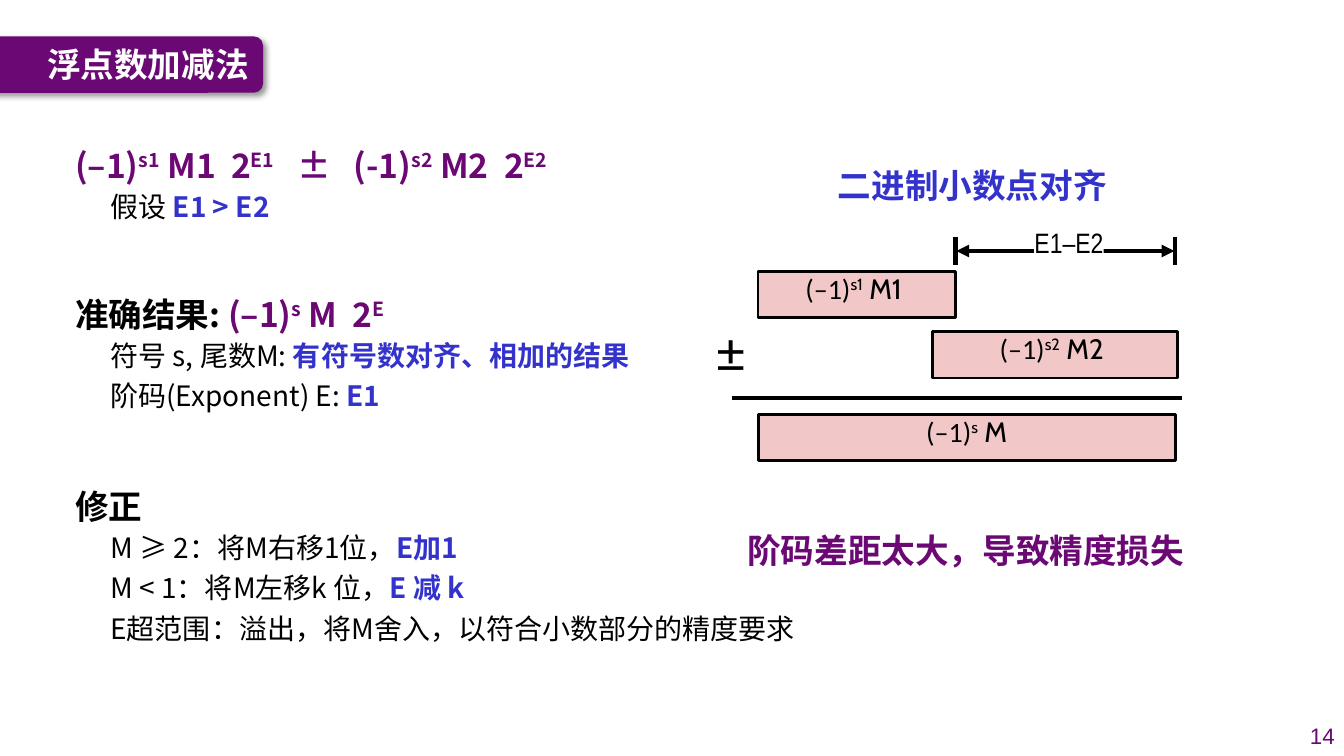
"""Build the slide on floating-point addition and subtraction."""
from lxml import etree
from pptx import Presentation, util as u
from pptx.dml.color import RGBColor
from pptx.enum import shapes, text
from pptx.oxml import parse_xml
from pptx.oxml.ns import nsdecls, qn

THEME = {
    "title": "6A0874", "purple": "6B0874", "blue": "3333CC", "black": "000000",
    "white": "FFFFFF", "pink": "F1C7C7",
    "cjk": "Noto Sans CJK SC", "math": "Calibri", "var": "Cabin",
    "label": "Arial Narrow", "number": "Arial",
    "head": 24, "sub": 20, "sign": 40, "page": 16, "box_line": 2, "rule": 3,
}
TITLE, PAGE = "浮点数加减法", "14"
BODY = [
    ("head", 4.6, [("(–1)", "purple"), ("s1", "purple", 1), (" M1  2", "purple"),
                   ("E1", "purple", 1), ("   ±   (-1)", "purple"), ("s2", "purple", 1),
                   (" M2  2", "purple"), ("E2", "purple", 1)]),
    ("sub", 3.2, [("假设 ", "black"), ("E1 > E2", "blue")]),
    ("head", 44.2, [("准确结果: ", "black"), ("(–1)", "purple"), ("s", "purple", 1),
                    (" M  2", "purple"), ("E", "purple", 1)]),
    ("sub", 3.2, [("符号 s, 尾数M: ", "black"), ("有符号数对齐、相加的结果", "blue")]),
    ("sub", 4.9, [("阶码(Exponent) E: ", "black"), ("E1", "blue")]),
    ("head", 46.5, [("修正", "black")]),
    ("sub", 3.2, [("M ≥ 2：将M右移1位，", "black"), ("E加1", "blue")]),
    ("sub", 4.9, [("M < 1：将M左移k 位，", "black"), ("E 减 k", "blue")]),
    ("sub", 4.9, [("E超范围：溢出，将M舍入，以符合小数部分的精度要求", "black")]),
]
LINE_SPACING = {"head": 1.2, "sub": 1.0}
LEFT, RIGHT, M1_RIGHT, M2_LEFT, BOX_H = 541.5, 839.5, 682.5, 666, 33
OPERANDS = [
    (LEFT, 193.8, M1_RIGHT, "s1", " M1 "),
    (M2_LEFT, 237, RIGHT + 1.5, "s2", " M2 "),
    (LEFT, 296, RIGHT, "s", " M"),
]
GAP_Y, TICK_H = 179.3, 20.2
CALLOUTS = [("二进制小数点对齐", "blue", 556.5, 114.2, 276),
            ("阶码差距太大，导致精度损失", "purple", 521.3, 374.8, 337)]


def rgb(key):
    return RGBColor.from_string(THEME[key])


def add_run(p, words, size, font, color, bold=False, raised=False):
    r = p.add_run()
    r.text = words
    r.font.size, r.font.name, r.font.bold = u.Pt(THEME[size]), THEME[font], bold
    r.font.color.rgb = rgb(color)
    rPr = r._r.get_or_add_rPr()
    etree.SubElement(rPr, qn("a:ea")).set("typeface", THEME[font])
    if raised:
        rPr.set("baseline", "32000")


def frame(sp, inset=True, anchor=text.MSO_ANCHOR.TOP, wrap=True):
    tf = sp.text_frame
    tf.word_wrap, tf.vertical_anchor = wrap, anchor
    if not inset:
        tf.margin_left = tf.margin_right = tf.margin_top = tf.margin_bottom = 0
    return tf


def add_box(s, x, y, w, h):
    return s.shapes.add_textbox(u.Pt(x), u.Pt(y), u.Pt(w), u.Pt(h))


def add_block(s, kind, x, y, w, h, fill, outlined=False):
    sp = s.shapes.add_shape(kind, u.Pt(x), u.Pt(y), u.Pt(w), u.Pt(h))
    sp.shadow.inherit = False
    sp.fill.solid()
    sp.fill.fore_color.rgb = rgb(fill)
    if outlined:
        sp.line.color.rgb = rgb("black")
        sp.line.width = u.Pt(THEME["box_line"])
    else:
        sp.line.fill.background()
    return sp


def add_rule(s, x1, y1, x2, y2, arrows=False):
    ln = s.shapes.add_connector(shapes.MSO_CONNECTOR.STRAIGHT,
                                u.Pt(x1), u.Pt(y1), u.Pt(x2), u.Pt(y2))
    ln.line.color.rgb = rgb("black")
    ln.line.width = u.Pt(THEME["rule"])
    if arrows:
        for end in ("a:headEnd", "a:tailEnd"):
            etree.SubElement(ln.line._get_or_add_ln(), qn(end)).set("type", "triangle")
    etree.SubElement(ln._element.spPr, qn("a:effectLst"))


def add_line_of_text(tf, words, size, font, color, align, bold=False):
    p = tf.paragraphs[0]
    p.alignment = align
    add_run(p, words, size, font, color, bold)


def add_title(s):
    tab = add_block(s, shapes.MSO_SHAPE.ROUNDED_RECTANGLE, -56, 26, 244, 40.3, "title")
    tab._element.spPr.find(qn("a:effectLst")).append(parse_xml(
        f'<a:outerShdw {nsdecls("a")} blurRad="{u.Pt(4)}" dist="{u.Pt(3)}" dir="2700000">'
        f'<a:srgbClr val="{THEME["black"]}"><a:alpha val="40000"/></a:srgbClr></a:outerShdw>'))
    tf = frame(add_box(s, 26.6, 26, 161.3, 39.6), anchor=text.MSO_ANCHOR.MIDDLE)
    add_line_of_text(tf, TITLE, "head", "cjk", "white", text.PP_ALIGN.LEFT, True)
    tf = frame(add_box(s, 920.9, 511.2, 39.6, 28.8), anchor=text.MSO_ANCHOR.MIDDLE)
    add_line_of_text(tf, PAGE, "page", "number", "title", text.PP_ALIGN.RIGHT)


def add_body(s):
    tf = frame(add_box(s, 46.6, 94.3, 532.8, 402.5))
    for i, (level, before, runs) in enumerate(BODY):
        p = tf.add_paragraph() if i else tf.paragraphs[0]
        p.space_before, p.line_spacing = u.Pt(before), LINE_SPACING[level]
        if level == "sub":
            p._p.get_or_add_pPr().set("marL", str(u.Pt(25.2)))
        for words, color, *raised in runs:
            bold = level == "head" or color == "blue"
            add_run(p, words, level, "cjk", color, bold, bool(raised))


def add_alignment_diagram(s):
    center, rect = text.PP_ALIGN.CENTER, shapes.MSO_SHAPE.RECTANGLE
    for x, y, right, exponent, mantissa in OPERANDS:
        sp = add_block(s, rect, x, y, right - x, BOX_H, "pink", True)
        p = frame(sp, inset=False).paragraphs[0]
        p.alignment = center
        add_run(p, "(–1)", "sub", "math", "black")
        add_run(p, exponent, "sub", "var", "black", raised=True)
        add_run(p, mantissa, "sub", "var", "black")
    for x in (M1_RIGHT, RIGHT):
        add_rule(s, x, GAP_Y - TICK_H / 2, x, GAP_Y + TICK_H / 2)
    add_rule(s, M1_RIGHT + 0.7, GAP_Y, RIGHT - 0.7, GAP_Y, arrows=True)
    gap = add_block(s, rect, 738.7, 161.3, 49.7, 24.5, "white")
    add_line_of_text(frame(gap, inset=False, wrap=False), "E1–E2", "sub", "label", "black", center)
    sign = frame(add_box(s, 511.9, 226, 20.2, 48.2), inset=False, wrap=False)
    add_line_of_text(sign, "±", "sign", "math", "black", center)
    add_rule(s, 522.7, 284.4, 844.6, 284.4)
    for words, color, x, y, w in CALLOUTS:
        add_line_of_text(frame(add_box(s, x, y, w, 36)), words, "head", "cjk", color, center, True)


def main():
    prs = Presentation()
    prs.slide_width, prs.slide_height = u.Pt(960), u.Pt(540)
    s = prs.slides.add_slide(prs.slide_layouts[6])
    add_title(s)
    add_body(s)
    add_alignment_diagram(s)
    prs.save("out.pptx")


if __name__ == "__main__":
    main()
